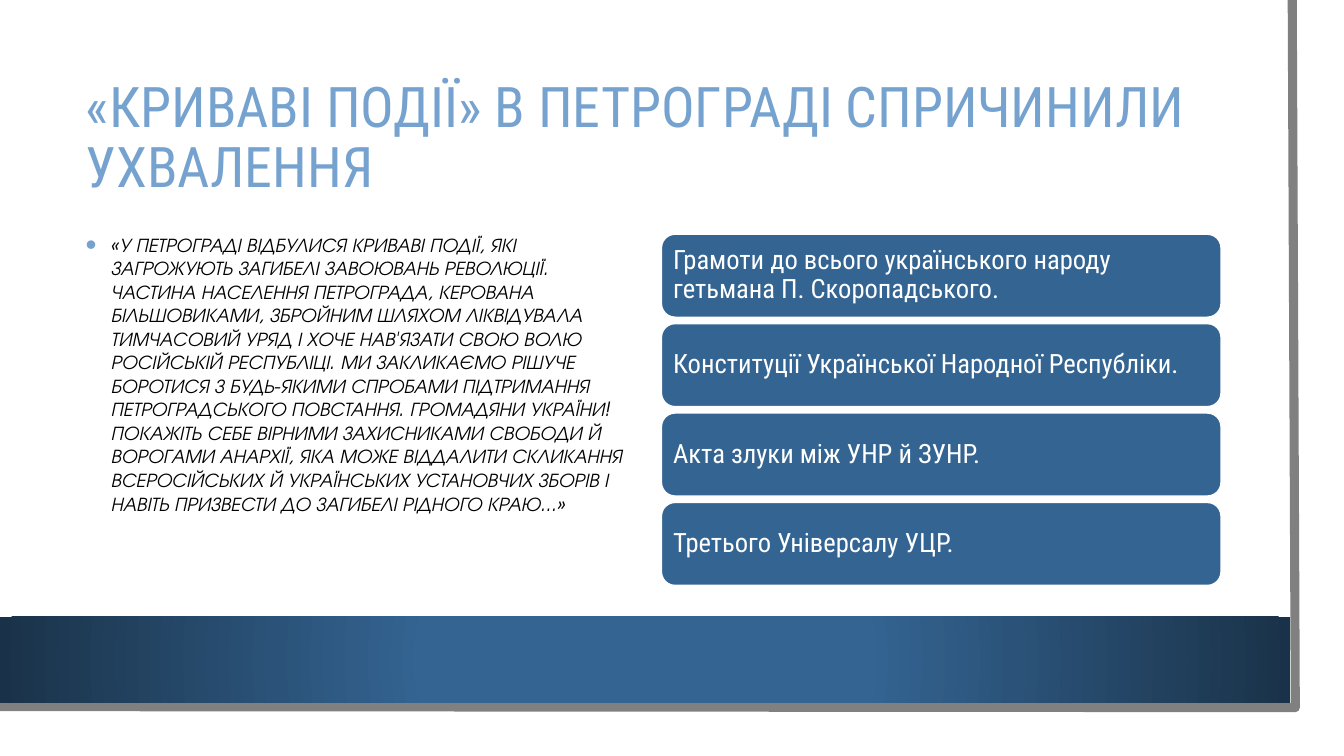
from dataclasses import dataclass

from lxml import etree
from pptx import Presentation
from pptx.dml.color import RGBColor
from pptx.enum.shapes import MSO_SHAPE
from pptx.enum.text import MSO_ANCHOR, MSO_AUTO_SIZE, PP_ALIGN
from pptx.oxml.ns import qn
from pptx.util import Inches, Pt

RECTANGLE, ROUNDED = MSO_SHAPE.RECTANGLE, MSO_SHAPE.ROUNDED_RECTANGLE
MIDDLE, TOP = MSO_ANCHOR.MIDDLE, MSO_ANCHOR.TOP
LEFT, FIXED = PP_ALIGN.LEFT, MSO_AUTO_SIZE.NONE
SLIDE_WIDTH, SLIDE_HEIGHT = Inches(13.33), Inches(7.5)
COLUMNS, ROWS = 160, 90
TITLE_ONLY = 5

TITLE = "«КРИВАВІ ПОДІЇ» В ПЕТРОГРАДІ СПРИЧИНИЛИ УХВАЛЕННЯ"
QUOTE = (
    "«У ПЕТРОГРАДІ ВІДБУЛИСЯ КРИВАВІ ПОДІЇ, ЯКІ ЗАГРОЖУЮТЬ ЗАГИБЕЛІ ЗАВОЮВАНЬ "
    "РЕВОЛЮЦІЇ. ЧАСТИНА НАСЕЛЕННЯ ПЕТРОГРАДА, КЕРОВАНА БІЛЬШОВИКАМИ, ЗБРОЙНИМ "
    "ШЛЯХОМ ЛІКВІДУВАЛА ТИМЧАСОВИЙ УРЯД І ХОЧЕ НАВ'ЯЗАТИ СВОЮ ВОЛЮ РОСІЙСЬКІЙ "
    "РЕСПУБЛІЦІ. МИ ЗАКЛИКАЄМО РІШУЧЕ БОРОТИСЯ З БУДЬ-ЯКИМИ СПРОБАМИ ПІДТРИМАННЯ "
    "ПЕТРОГРАДСЬКОГО ПОВСТАННЯ. ГРОМАДЯНИ УКРАЇНИ! ПОКАЖІТЬ СЕБЕ ВІРНИМИ "
    "ЗАХИСНИКАМИ СВОБОДИ Й ВОРОГАМИ АНАРХІЇ, ЯКА МОЖЕ ВІДДАЛИТИ СКЛИКАННЯ "
    "ВСЕРОСІЙСЬКИХ Й УКРАЇНСЬКИХ УСТАНОВЧИХ ЗБОРІВ І НАВІТЬ ПРИЗВЕСТИ ДО ЗАГИБЕЛІ "
    "РІДНОГО КРАЮ...»"
)
ANSWERS = (
    "Грамоти до всього українського народу гетьмана П. Скоропадського.",
    "Конституції Української Народної Республіки.",
    "Акта злуки між УНР й ЗУНР.",
    "Третього Універсалу УЦР.",
)


@dataclass(frozen=True)
class Theme:
    """Colours, fonts and type sizes of the deck."""
    white: RGBColor = RGBColor.from_string("FFFFFF")
    black: RGBColor = RGBColor.from_string("000000")
    grey: RGBColor = RGBColor.from_string("808080")
    sky: RGBColor = RGBColor.from_string("75A2CE")
    blue: RGBColor = RGBColor.from_string("346492")
    navy: RGBColor = RGBColor.from_string("1A3249")
    main_font: str = "Roboto Condensed"
    quote_font: str = "TeX Gyre Adventor"
    title_size: Pt = Pt(40)
    quote_size: Pt = Pt(14)
    answer_size: Pt = Pt(19)


THEME = Theme()


@dataclass(frozen=True)
class Box:
    """A place on the slide in grid columns and rows."""
    left: float
    top: float
    width: float
    height: float

    def lengths(self):
        """Return left, top, width and height as slide lengths."""
        return (*grid_point(self.left, self.top), *grid_point(self.width, self.height))


def grid_point(column, row):
    """Turn a grid position into slide lengths."""
    return round(SLIDE_WIDTH * column / COLUMNS), round(SLIDE_HEIGHT * row / ROWS)


def set_values(target, values):
    """Set each named attribute of the target."""
    for name, value in values.items():
        setattr(target, name, value)


def write_text(frame, text, color, frame_values, para_values, font_values):
    """Write one formatted paragraph and return it."""
    set_values(frame, {"word_wrap": True, "auto_size": FIXED, **frame_values})
    para = frame.paragraphs[0]
    para.text = text
    set_values(para, {"alignment": LEFT, **para_values})
    font = para.runs[0].font
    set_values(font, font_values)
    font.color.rgb = color
    return para


def add_panel(slide, kind, box, color):
    """Add a flat shape without a line."""
    panel = slide.shapes.add_shape(kind, *box.lengths())
    panel.shadow.inherit = False
    panel.fill.solid()
    panel.fill.fore_color.rgb = color
    panel.line.fill.background()
    return panel


def add_frame_line(slide, box):
    """Draw the thick, slightly tilted edge on the right and bottom of the box."""
    right, bottom = box.left + box.width, box.top + box.height
    builder = slide.shapes.build_freeform(*grid_point(right - 0.36, box.top))
    corners = [grid_point(right, bottom), grid_point(box.left, bottom - 0.12)]
    builder.add_line_segments(corners, close=False)
    edge = builder.convert_to_shape()
    edge.shadow.inherit = False
    edge.fill.background()
    edge.line.color.rgb = THEME.grey
    edge.line.width = Pt(6.5)


def add_band(slide, box):
    """Add the bottom band that darkens from its centre outwards."""
    band = add_panel(slide, RECTANGLE, box, THEME.blue)
    band.fill.gradient()
    stops = ((0.34, THEME.blue), (1, THEME.navy))
    for stop, (position, color) in zip(band.fill.gradient_stops, stops):
        stop.position = position
        stop.color.rgb = color
    gradient = band.element.spPr.find(qn("a:gradFill"))
    gradient.remove(gradient.find(qn("a:lin")))
    circle = etree.SubElement(gradient, qn("a:path"), {"path": "circle"})
    sides = dict.fromkeys("ltrb", "50000")
    etree.SubElement(circle, qn("a:fillToRect"), sides)


def add_backdrop(slide, box):
    """Add the white sheet, its edge and the band."""
    add_panel(slide, RECTANGLE, box, THEME.white)
    add_frame_line(slide, Box(box.left - 0.36, box.top, 154.56, 84.24))
    add_band(slide, Box(box.left, box.top + 73.44, 153.6, 10.2))


def place_title(slide, box):
    """Move the title above the backdrop and format it."""
    title = slide.shapes.title
    title.element.getparent().append(title.element)
    set_values(title, dict(zip(("left", "top", "width", "height"), box.lengths())))
    write_text(title.text_frame, TITLE, THEME.sky,
               {"vertical_anchor": MIDDLE}, {"line_spacing": 0.9},
               {"name": THEME.main_font, "size": THEME.title_size})


def add_bullet(para):
    """Give the paragraph a large sky-blue bullet with a hanging indent."""
    properties = para._p.get_or_add_pPr()
    set_indent = {"marL": str(Inches(0.25)), "indent": str(Inches(-0.25))}
    for name, value in set_indent.items():
        properties.set(name, value)
    color = etree.SubElement(properties, qn("a:buClr"))
    etree.SubElement(color, qn("a:srgbClr"), {"val": str(THEME.sky)})
    etree.SubElement(properties, qn("a:buSzPct"), {"val": "160000"})
    etree.SubElement(properties, qn("a:buFont"), {"typeface": "Arial"})
    etree.SubElement(properties, qn("a:buChar"), {"char": "•"})


def add_quote(slide, box):
    """Add the quoted appeal as a bulleted paragraph."""
    text_box = slide.shapes.add_textbox(*box.lengths())
    para = write_text(text_box.text_frame, QUOTE, THEME.black,
                      {"vertical_anchor": TOP}, {},
                      {"name": THEME.quote_font, "size": THEME.quote_size, "italic": True})
    add_bullet(para)


def add_answers(slide, box):
    """Stack the answer cards evenly in the box."""
    gap = 0.68
    height = (box.height - gap * (len(ANSWERS) - 1)) / len(ANSWERS)
    margins = dict.fromkeys(
        ("margin_left", "margin_top", "margin_right", "margin_bottom"), Inches(0.08))
    for index, answer in enumerate(ANSWERS):
        place = Box(box.left, box.top + index * (height + gap), box.width, height)
        card = add_panel(slide, ROUNDED, place, THEME.blue)
        card.line.color.rgb = THEME.white
        card.line.width = Pt(1.5)
        write_text(card.text_frame, answer, THEME.white,
                   {"vertical_anchor": MIDDLE, **margins}, {"line_spacing": 0.9},
                   {"name": THEME.main_font, "size": THEME.answer_size})


def main():
    """Build the deck and save it."""
    deck = Presentation()
    set_values(deck, {"slide_width": SLIDE_WIDTH, "slide_height": SLIDE_HEIGHT})
    slide = deck.slides.add_slide(deck.slide_layouts[TITLE_ONLY])
    add_backdrop(slide, Box(0, 0, 157.2, 87.2))
    place_title(slide, Box(9, 9, 136.5, 15.2))
    add_quote(slide, Box(9, 27.1, 66.85, 43.4))
    add_answers(slide, Box(78.7, 27.84, 66.7, 41.9))
    deck.save("out.pptx")


if __name__ == "__main__":
    main()
